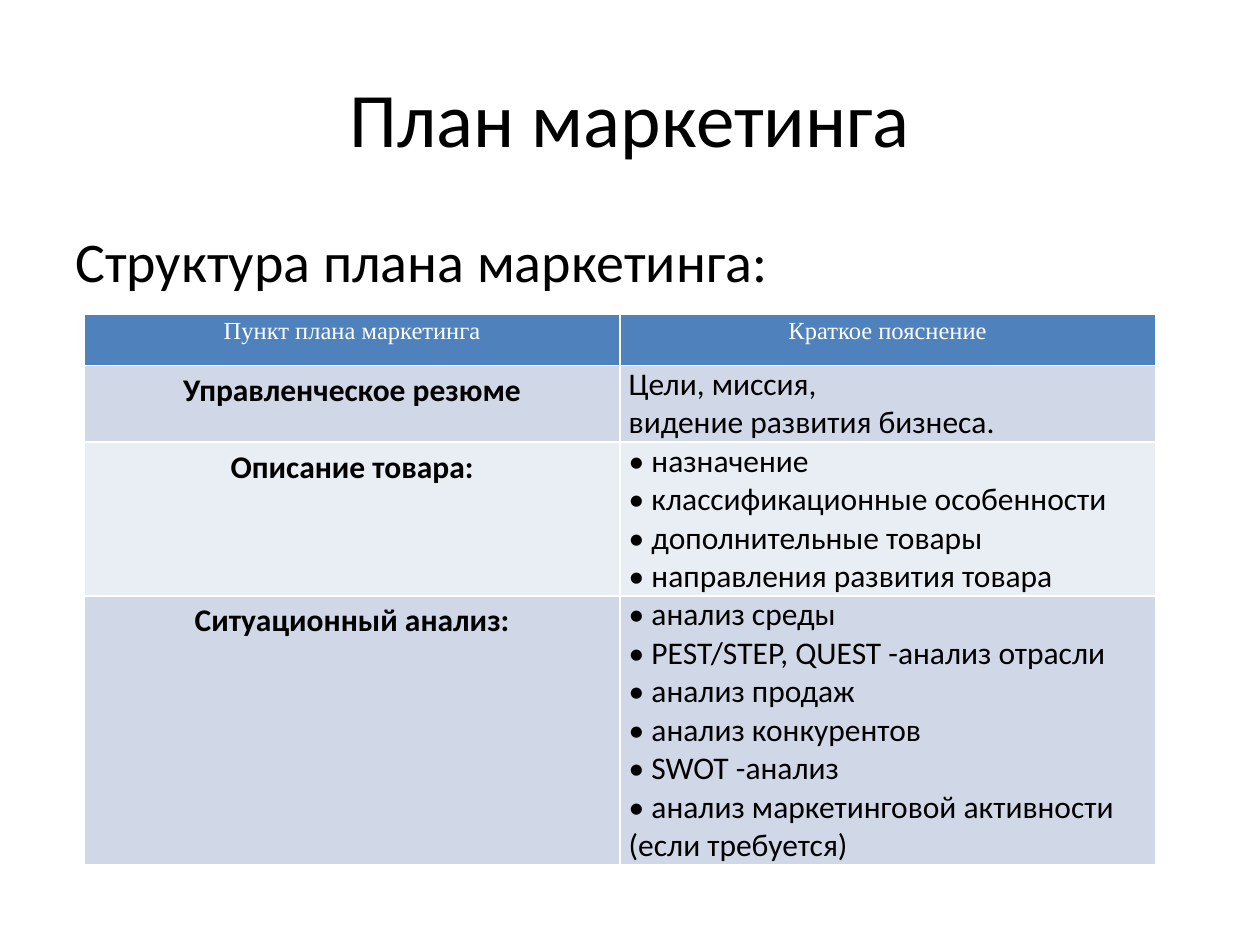
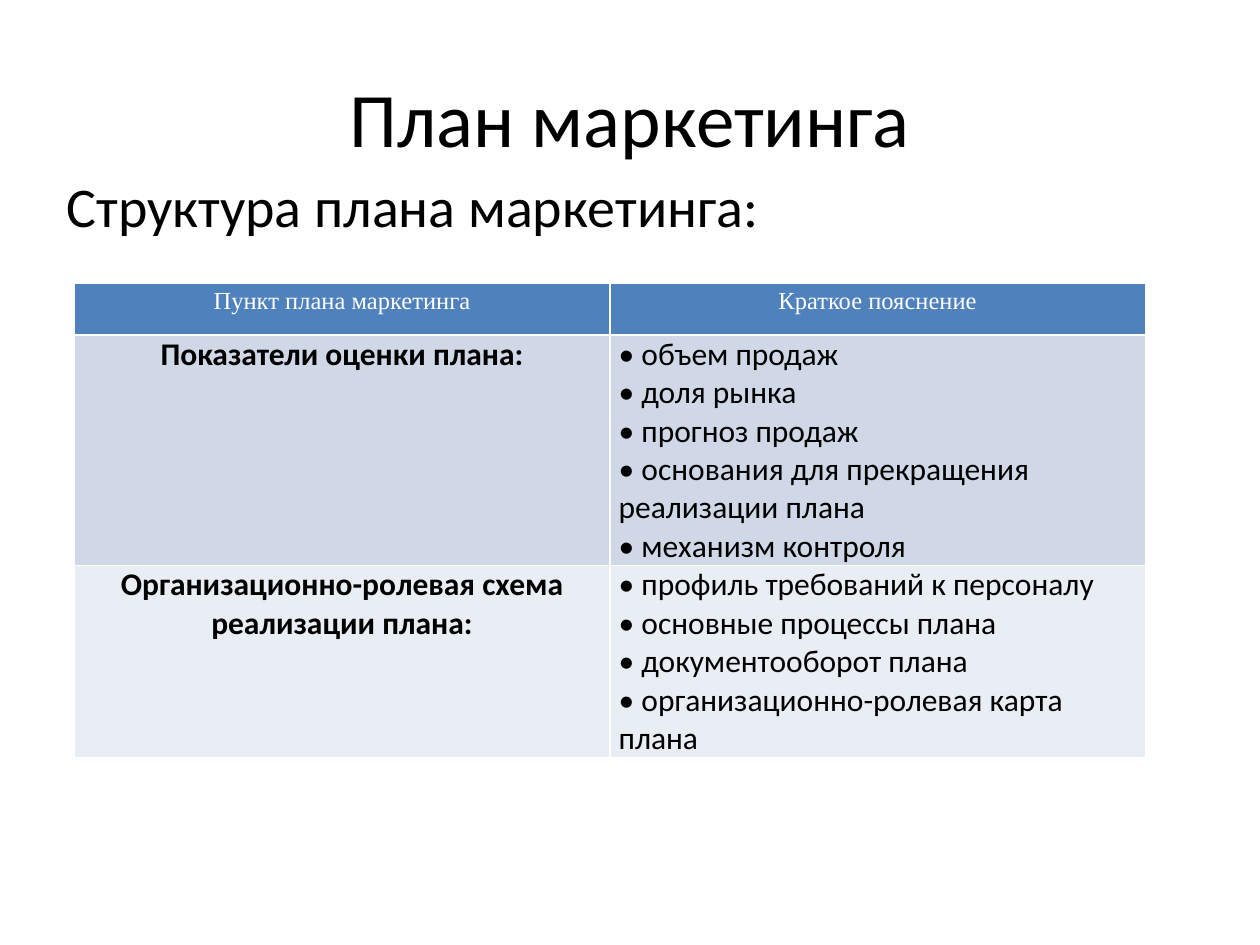
from lxml import etree
from pptx import Presentation
from pptx.dml.color import RGBColor
from pptx.enum.text import MSO_ANCHOR, PP_ALIGN
from pptx.oxml.ns import qn
from pptx.util import Pt

PX = 9144  # 100 px to the inch
HEADER_HEIGHT = 41
TWO_LINES_HEIGHT = 61

BLACK = RGBColor(0x00, 0x00, 0x00)
WHITE = RGBColor(0xFF, 0xFF, 0xFF)
HEADER_BLUE = RGBColor(0x4F, 0x81, 0xBD)
BANDS = (RGBColor(0xD0, 0xD8, 0xE8), RGBColor(0xE9, 0xED, 0xF4))

TITLE = "План маркетинга"
SUBTITLE = "Структура плана маркетинга:"
HEADINGS = ("Пункт плана маркетинга", "Краткое пояснение")

# Each row: item, details, number of lines the details take once wrapped.
FIRST_PLAN = [
    (["Управленческое резюме"],
     ["Цели, миссия,", "видение развития бизнеса."], 2),
    (["Описание товара:"],
     ["• назначение", "• классификационные особенности",
      "• дополнительные товары", "• направления развития товара"], 4),
    (["Ситуационный анализ:"],
     ["• анализ среды", "• PEST/STEP, QUEST -анализ отрасли",
      "• анализ продаж", "• анализ конкурентов", "• SWOT -анализ",
      "• анализ маркетинговой активности", "(если требуется)"], 7),
]
SECOND_PLAN = [
    (["Показатели оценки плана:"],
     ["• объем продаж", "• доля рынка", "• прогноз продаж",
      "• основания для прекращения", "реализации плана",
      "• механизм контроля"], 6),
    (["Организационно-ролевая схема", "реализации плана:"],
     ["• профиль требований к персоналу", "• основные процессы плана",
      "• документооборот плана", "• организационно-ролевая карта плана"], 5),
]


def write(frame, lines, size=18, font="Calibri", color=BLACK, bold=False,
          align=PP_ALIGN.LEFT, line_spacing=None, before=0):
    """Fill a text frame with one paragraph for each line."""
    for index, line in enumerate(lines):
        para = frame.add_paragraph() if index else frame.paragraphs[0]
        para.alignment = align
        para.line_spacing = line_spacing
        para.space_before = Pt(before)
        span = para.add_run()
        span.text = line
        span.font.size = Pt(size)
        span.font.name = font
        span.font.bold = bold
        span.font.color.rgb = color


def add_text(page, left, top, width, height, text,
             anchor=MSO_ANCHOR.TOP, **text_format):
    box = page.shapes.add_textbox(left * PX, top * PX, width * PX, height * PX)
    box.text_frame.word_wrap = True
    box.text_frame.vertical_anchor = anchor
    write(box.text_frame, [text], **text_format)


def set_borders(cell):
    properties = cell._tc.get_or_add_tcPr()
    for position, side in enumerate("LRTB"):
        line = etree.Element(qn(f"a:ln{side}"), w=str(Pt(1)))
        fill = etree.SubElement(line, qn("a:solidFill"))
        etree.SubElement(fill, qn("a:srgbClr"), val=str(WHITE))
        properties.insert(position, line)


def fill_cell(cell, lines, fill, **text_format):
    cell.margin_left = cell.margin_right = 7 * PX
    cell.margin_top = cell.margin_bottom = 0
    cell.fill.solid()
    cell.fill.fore_color.rgb = fill
    set_borders(cell)
    write(cell.text_frame, lines, **text_format)


def add_plan_table(page, left, top, plan, item_spacing):
    heights = [HEADER_HEIGHT * PX]
    heights += [line_count * TWO_LINES_HEIGHT * PX // 2
                for _, _, line_count in plan]
    table = page.shapes.add_table(len(heights), 2, left * PX, top * PX,
                                  850 * PX, sum(heights)).table
    for table_row, height in zip(table.rows, heights):
        table_row.height = height
    for column, heading in enumerate(HEADINGS):
        fill_cell(table.cell(0, column), [heading], HEADER_BLUE,
                  size=14, font="Times New Roman", color=WHITE,
                  align=PP_ALIGN.CENTER, line_spacing=1.15)
    for row, (item, details, _) in enumerate(plan, start=1):
        band = BANDS[(row - 1) % 2]
        fill_cell(table.cell(row, 0), item, band, bold=True,
                  align=PP_ALIGN.CENTER, line_spacing=item_spacing)
        fill_cell(table.cell(row, 1), details, band)


def add_plan_page(deck, subtitle_at, table_at, plan, item_spacing=None):
    page = deck.slides.add_slide(deck.slide_layouts[6])
    add_text(page, 50, 30, 900, 125, TITLE, anchor=MSO_ANCHOR.MIDDLE,
             size=44, align=PP_ALIGN.CENTER)
    add_text(page, *subtitle_at, 900, 495, SUBTITLE, size=32, before=6.4)
    add_plan_table(page, *table_at, plan, item_spacing)


def main():
    deck = Presentation()
    deck.slide_width, deck.slide_height = 1000 * PX, 750 * PX
    add_plan_page(deck, (50, 175), (67, 249), FIRST_PLAN, item_spacing=1.15)
    add_plan_page(deck, (43, 131), (59, 225), SECOND_PLAN)
    deck.save("out.pptx")


if __name__ == "__main__":
    main()
